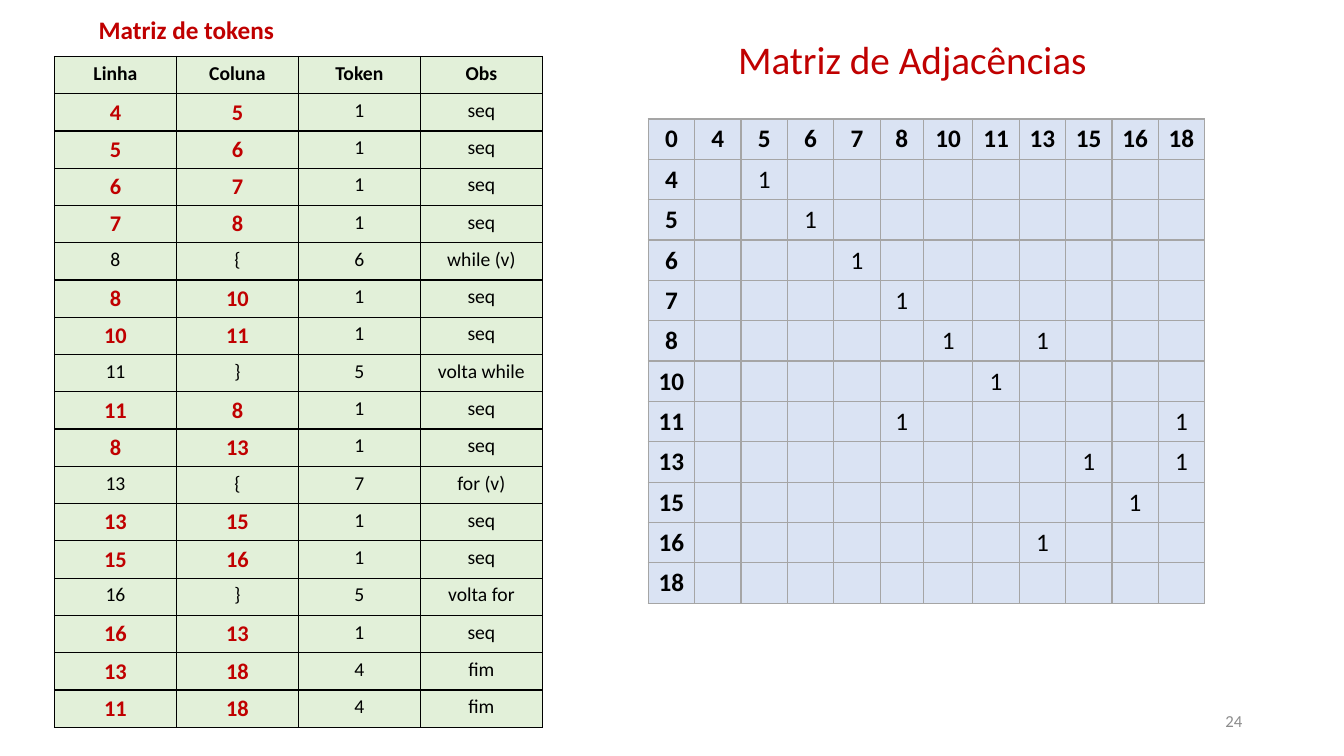
import pptx
import pptx.util
from lxml import etree
from pptx.dml.color import RGBColor
from pptx.enum.text import MSO_ANCHOR, MSO_AUTO_SIZE, PP_ALIGN
from pptx.oxml.ns import qn

COLORS = {"red": "C00000", "black": "000000", "gray": "8C8C8C",
          "green": "E2F0D9", "blue": "DAE3F3", "grid": "A5A5A5"}
FONT = "Calibri"

TITLE = "Matriz de Adjacências"
TOKENS_TITLE = "Matriz de tokens"
PAGE = "24"

TOKEN_HEADER = ("Linha", "Coluna", "Token", "Obs")
TOKEN_ROWS = [
    ("4", "5", "1", "seq"),
    ("5", "6", "1", "seq"),
    ("6", "7", "1", "seq"),
    ("7", "8", "1", "seq"),
    ("8", "{", "6", "while (v)"),
    ("8", "10", "1", "seq"),
    ("10", "11", "1", "seq"),
    ("11", "}", "5", "volta while"),
    ("11", "8", "1", "seq"),
    ("8", "13", "1", "seq"),
    ("13", "{", "7", "for (v)"),
    ("13", "15", "1", "seq"),
    ("15", "16", "1", "seq"),
    ("16", "}", "5", "volta for"),
    ("16", "13", "1", "seq"),
    ("13", "18", "4", "fim"),
    ("11", "18", "4", "fim"),
]

NODES = [4, 5, 6, 7, 8, 10, 11, 13, 15, 16, 18]
EDGES = {(4, 5), (5, 6), (6, 7), (7, 8), (8, 10), (8, 13), (10, 11),
         (11, 8), (11, 18), (13, 15), (13, 18), (15, 16), (16, 13)}

TOKEN_COLS = [1.21] * 4
NODE_COLS = [0.46] * 5 + [0.43, 0.49] + [0.46] * 5


def inches(*values):
    return [pptx.util.Inches(v) for v in values]


def style(p, size, color, bold=False, align=PP_ALIGN.LEFT):
    p.alignment = align
    p.font.name = FONT
    p.font.size = pptx.util.Pt(size)
    p.font.bold = bold
    p.font.color.rgb = RGBColor.from_string(COLORS[color])


def set_borders(cell, color):
    tcPr = cell._tc.get_or_add_tcPr()
    for i, side in enumerate(("lnL", "lnR", "lnT", "lnB")):
        ln = etree.Element(qn(f"a:{side}"), w=str(pptx.util.Pt(1)))
        fill = etree.SubElement(ln, qn("a:solidFill"))
        etree.SubElement(fill, qn("a:srgbClr"), val=COLORS[color])
        tcPr.insert(i, ln)


def add_grid(s, left, top, cols, row_height, rows, fill, border, cell_style):
    """Add a table; cell_style(row, column) gives size, colour and bold."""
    box = inches(left, top, sum(cols), row_height * len(rows))
    table = s.shapes.add_table(len(rows), len(cols), *box).table
    table.first_row = table.horz_banding = False
    for column, width in zip(table.columns, cols):
        column.width = pptx.util.Inches(width)
    for r, row in enumerate(rows):
        table.rows[r].height = pptx.util.Inches(row_height)
        for c, text in enumerate(row):
            cell = table.cell(r, c)
            cell.fill.solid()
            cell.fill.fore_color.rgb = RGBColor.from_string(COLORS[fill])
            set_borders(cell, border)
            cell.text = text
            style(cell.text_frame.paragraphs[0], *cell_style(r, c), PP_ALIGN.CENTER)


def fill_text(sp, box, text, size, color, **kwargs):
    sp.left, sp.top, sp.width, sp.height = inches(*box)
    tf = sp.text_frame
    tf.text = text
    tf.word_wrap = False
    tf.auto_size = MSO_AUTO_SIZE.SHAPE_TO_FIT_TEXT
    tf.vertical_anchor = MSO_ANCHOR.TOP
    style(tf.paragraphs[0], size, color, **kwargs)
    return tf


def token_style(r, c):
    if r == 0:
        return 14, "black", True
    is_edge = TOKEN_ROWS[r - 1][1].isdigit()
    return (16, "red", True) if is_edge and c < 2 else (14, "black", False)


def node_style(r, c):
    return 18, "black", r == 0 or c == 0


def main():
    prs = pptx.Presentation()
    prs.slide_width, prs.slide_height = inches(13.33, 7.5)
    s = prs.slides.add_slide(prs.slide_layouts[5])

    fill_text(s.shapes.title, (7.22, 0.3, 3.7, 0.57), TITLE, 28, "red")
    fill_text(s.shapes.add_textbox(0, 0, 0, 0), (0.88, 0.09, 1.96, 0.4),
              TOKENS_TITLE, 18, "red", bold=True)

    add_grid(s, 0.54, 0.56, TOKEN_COLS, 0.37, [TOKEN_HEADER] + TOKEN_ROWS,
             "green", "black", token_style)

    matrix = [["0"] + [str(n) for n in NODES]]
    matrix += [[str(a)] + ["1" if (a, b) in EDGES else "" for b in NODES]
               for a in NODES]
    add_grid(s, 6.43, 1.18, NODE_COLS, 0.4, matrix, "blue", "grid", node_style)

    tf = fill_text(s.shapes.add_textbox(0, 0, 0, 0), (9.42, 6.95, 3, 0.4),
                   PAGE, 12, "gray", align=PP_ALIGN.RIGHT)
    tf.word_wrap = True
    tf.auto_size = MSO_AUTO_SIZE.NONE
    tf.vertical_anchor = MSO_ANCHOR.MIDDLE

    prs.save("out.pptx")


if __name__ == "__main__":
    main()
